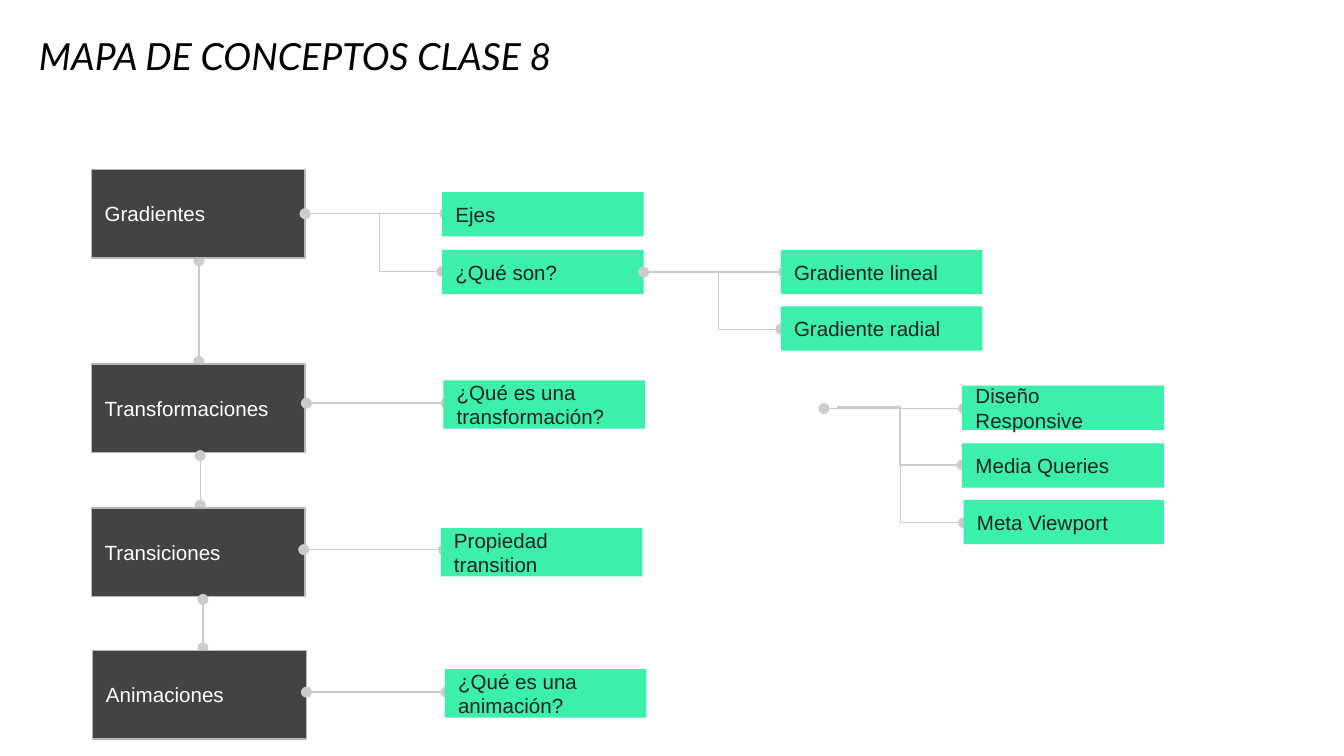
from dataclasses import dataclass

from lxml import etree
from pptx import Presentation, util as u
from pptx.dml.color import RGBColor
from pptx.enum import shapes, text
from pptx.oxml.ns import qn

COLS, ROWS = 100, 56.25


@dataclass(frozen=True)
class Theme:
    dark: str = "434343"
    dark_line: str = "B7B7B7"
    dark_text: str = "FFFFFF"
    green: str = "3CEFAB"
    green_text: str = "222222"
    link: str = "CCCCCC"
    title: str = "000000"
    title_font: str = "Lato"
    body_font: str = "Arial"
    title_pt: float = 20
    body_pt: float = 11
    line_pt: float = 0.75


@dataclass(frozen=True)
class Topic:
    label: str
    col: float
    row: float
    cols: float = 15.9
    rows: float = 6.6


@dataclass(frozen=True)
class Concept:
    label: str
    col: float
    row: float
    cols: float = 15
    rows: float = 3.3


@dataclass(frozen=True)
class Link:
    col: float
    row: float
    cols: float = 0
    rows: float = 0
    source: str = ""


@dataclass(frozen=True)
class Branch:
    col: float
    row: float
    cols: float = 9.3
    rows: float = 4.3


T = Theme()
REACH = 10.4
TALL = 3.6
ITEMS = [
    Link(14.8, 19.4, rows=7.5),
    Topic("Gradientes", 6.8, 12.6),
    Topic("Transformaciones", 6.8, 27.1),
    Link(22.8, 30, REACH),
    Concept("¿Qué es una transformación?", 33, 28.3, rows=TALL),
    Link(22.7, 15.9, REACH, source="Gradientes"),
    Concept("Ejes", 32.9, 14.3),
    Branch(23.6, 15.9),
    Concept("¿Qué son?", 32.9, 18.6),
    Link(61.3, 30.4, REACH),
    Concept("Diseño Responsive", 71.6, 28.7),
    Branch(62.3, 30.3),
    Concept("Media Queries", 71.6, 33),
    Branch(62.3, 30.3, 9.4, 8.6),
    Concept("Meta Viewport", 71.7, 37.2, 14.9),
    Link(47.9, 20.25, REACH, source="¿Qué son?"),
    Concept("Gradiente lineal", 58.1, 18.6),
    Branch(48.8, 20.2),
    Concept("Gradiente radial", 58.1, 22.8),
    Link(14.9, 33.9, rows=3.7),
    Topic("Transiciones", 6.8, 37.8),
    Link(22.6, 40.9, REACH),
    Concept("Propiedad transition", 32.8, 39.3, rows=TALL),
    Link(15.1, 44.6, rows=3.6),
    Topic("Animaciones", 6.9, 48.4),
    Link(22.8, 51.5, REACH),
    Concept("¿Qué es una animación?", 33.1, 49.8, rows=TALL),
]

prs = Presentation()
prs.slide_width = u.Inches(10)
prs.slide_height = prs.slide_width * 9 // 16
s = prs.slides.add_slide(prs.slide_layouts[5])


def x(cols: float) -> int:
    return round(prs.slide_width * cols / COLS)


def y(rows: float) -> int:
    return round(prs.slide_height * rows / ROWS)


def write(sp, label: str, font: str, pt: float, color: str, anchor) -> None:
    tf = sp.text_frame
    tf.text = label
    tf.word_wrap = True
    tf.auto_size = text.MSO_AUTO_SIZE.NONE
    tf.vertical_anchor = anchor
    tf.margin_left = tf.margin_right = u.Inches(0.1)
    tf.margin_top = tf.margin_bottom = u.Inches(0.1)
    p = tf.paragraphs[0]
    p.alignment = text.PP_ALIGN.LEFT
    p.font.name, p.font.size = font, u.Pt(pt)
    p.font.color.rgb = RGBColor.from_string(color)


def draw_title(label: str) -> None:
    sp = s.shapes.title
    sp.left, sp.top, sp.width, sp.height = x(1.9), y(2.2), x(82.6), y(4.6)
    write(sp, label, T.title_font, T.title_pt, T.title, text.MSO_ANCHOR.BOTTOM)
    sp.text_frame.paragraphs[0].font.italic = True


def draw_box(box: Topic | Concept):
    is_topic = isinstance(box, Topic)
    sp = s.shapes.add_shape(shapes.MSO_SHAPE.RECTANGLE, x(box.col), y(box.row),
                            x(box.cols), y(box.rows))
    sp.shadow.inherit = False
    sp.fill.solid()
    sp.fill.fore_color.rgb = RGBColor.from_string(T.dark if is_topic else T.green)
    if is_topic:
        sp.line.color.rgb = RGBColor.from_string(T.dark_line)
        sp.line.width = u.Pt(T.line_pt)
    else:
        sp.line.fill.background()
    write(sp, box.label, T.body_font, T.body_pt,
          T.dark_text if is_topic else T.green_text, text.MSO_ANCHOR.MIDDLE)
    return sp


def draw_line(line: Link | Branch, boxes: dict) -> None:
    is_link = isinstance(line, Link)
    kind = shapes.MSO_CONNECTOR.STRAIGHT if is_link else shapes.MSO_CONNECTOR.ELBOW
    c = s.shapes.add_connector(kind, x(line.col), y(line.row),
                               x(line.col + line.cols), y(line.row + line.rows))
    c.line.color.rgb = RGBColor.from_string(T.link)
    c.line.width = u.Pt(T.line_pt)
    ln = c.line._get_or_add_ln()
    for tag in ("a:headEnd", "a:tailEnd") if is_link else ("a:tailEnd",):
        etree.SubElement(ln, qn(tag), type="oval")
    etree.SubElement(c._element.spPr, qn("a:effectLst"))
    if is_link and line.source:
        c.begin_connect(boxes[line.source], 3)


def main() -> None:
    draw_title("MAPA DE CONCEPTOS CLASE 8")
    boxes = {}
    for item in ITEMS:
        if isinstance(item, (Topic, Concept)):
            boxes[item.label] = draw_box(item)
        else:
            draw_line(item, boxes)
    prs.save("out.pptx")


if __name__ == "__main__":
    main()
